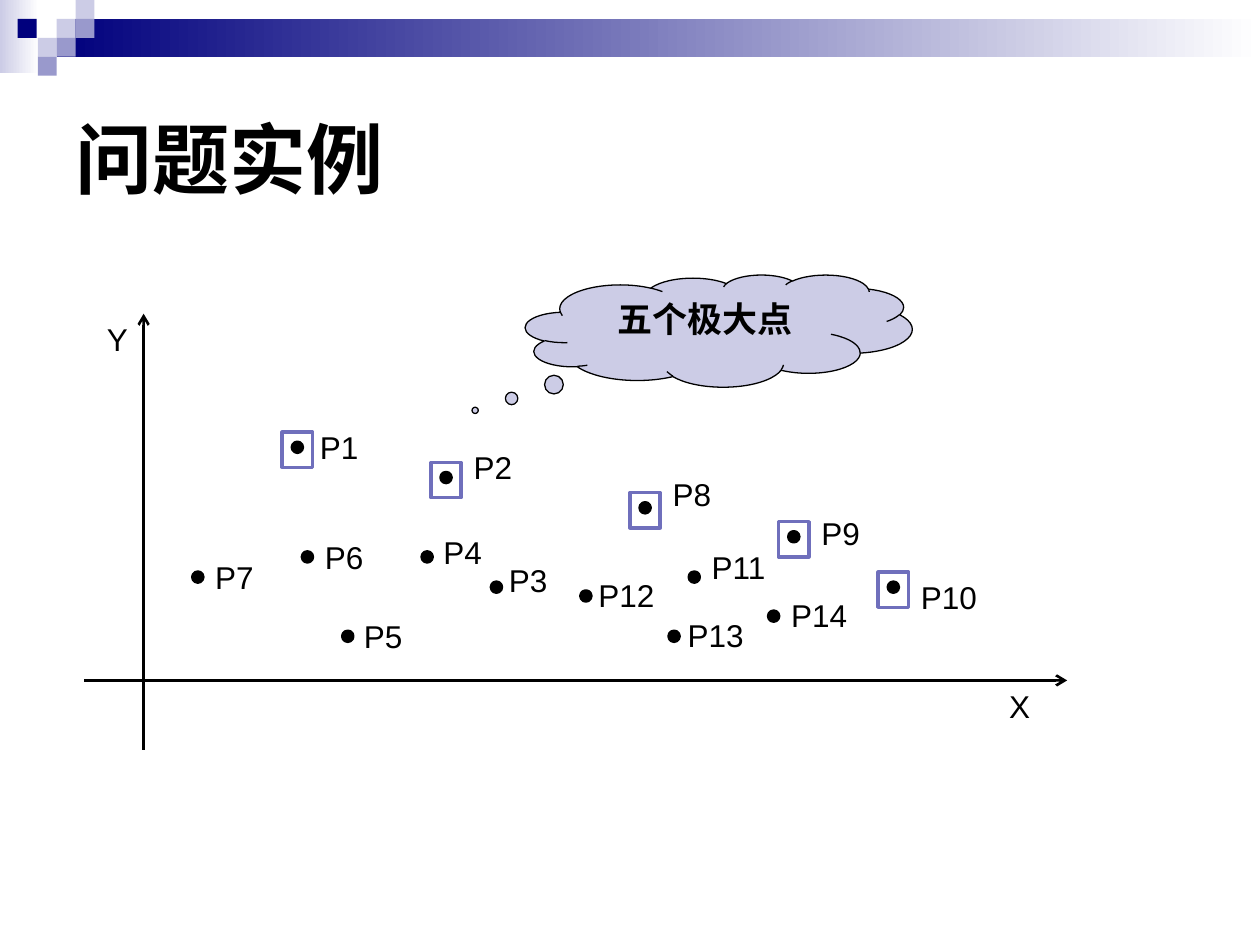
from dataclasses import dataclass

from lxml.etree import SubElement
from pptx import Presentation
from pptx.dml.color import RGBColor
from pptx.enum.shapes import MSO_CONNECTOR, MSO_SHAPE
from pptx.enum.text import MSO_ANCHOR, PP_ALIGN
from pptx.oxml.ns import qn
from pptx.slide import Slide
from pptx.util import Inches, Pt

COLORS = {
    "ink": "000000",
    "navy": "00007D",
    "lavender": "CCCCE6",
    "violet": "9999CC",
    "frame": "6F6FBC",
    "white": "FFFFFF",
}
FORMATS = {
    "title": {"size": Pt(44), "bold": True},
    "label": {"size": Pt(18), "bold": False},
    "callout": {"size": Pt(20), "bold": True},
}
GRADIENT_BARS = [((0, 0, 0.31, 0.58), "lavender"), ((0.45, 0.15, 9.55, 0.3), "navy")]
TILE = 0.15
TILES = [
    (0.45, 0.15, "lavender"),
    (0.6, 0, "lavender"),
    (0.6, 0.15, "violet"),
    (0.3, 0.3, "lavender"),
    (0.14, 0.15, "navy"),
    (0.45, 0.3, "violet"),
    (0.3, 0.45, "violet"),
]
DOT = 0.08
LABEL_HEIGHT = 0.4
POINTS = {
    "P1": ((2.32, 3.51), (2.44, 3.35, 0.67)),
    "P2": ((3.5, 3.75), (3.66, 3.51, 0.79)),
    "P3": ((3.9, 4.62), (3.94, 4.4, 0.51)),
    "P4": ((3.35, 4.38), (3.42, 4.18, 0.63)),
    "P5": ((2.72, 5.01), (2.79, 4.85, 0.75)),
    "P6": ((2.4, 4.38), (2.48, 4.22, 0.63)),
    "P7": ((1.53, 4.54), (1.61, 4.38, 0.63)),
    "P8": ((5.08, 3.99), (5.24, 3.72, 0.55)),
    "P9": ((6.26, 4.22), (6.42, 4.03, 0.55)),
    "P10": ((7.05, 4.62), (7.21, 4.54, 0.71)),
    "P11": ((5.47, 4.54), (5.55, 4.3, 0.71)),
    "P12": ((4.61, 4.69), (4.65, 4.52, 0.71)),
    "P13": ((5.31, 5.01), (5.36, 4.84, 0.71)),
    "P14": ((6.1, 4.85), (6.18, 4.68, 0.71)),
}
MAXIMAL = ["P1", "P2", "P8", "P9", "P10"]
AXES = [(0.67, 5.4, 8.47, 5.4), (1.14, 5.95, 1.14, 2.49)]
AXIS_NAMES = {"X": (7.91, 5.4, 0.55), "Y": (0.75, 2.49, 0.47)}


def color(name):
    """Return the named colour."""
    return RGBColor.from_string(COLORS[name])


@dataclass
class Painter:
    """Draws styled elements on the current slide."""

    slide: Slide
    font_name: str = "Arial"

    def fill_text(self, shape, text, style, anchor=MSO_ANCHOR.TOP, align=PP_ALIGN.LEFT):
        """Put styled text into a shape."""
        frame = shape.text_frame
        frame.word_wrap = True
        frame.vertical_anchor = anchor
        paragraph = frame.paragraphs[0]
        paragraph.alignment = align
        run = paragraph.add_run()
        run.text = text
        for attribute, value in {"name": self.font_name, **FORMATS[style]}.items():
            setattr(run.font, attribute, value)
        run.font.color.rgb = color("ink")

    def text(self, box, text, style="label", anchor=MSO_ANCHOR.TOP):
        """Add a text box."""
        shape = self.slide.shapes.add_textbox(*map(Inches, box))
        self.fill_text(shape, text, style, anchor)

    def shape(self, kind, box, fill=None, line=None, width=2):
        """Add a preset shape with an optional fill and outline."""
        shape = self.slide.shapes.add_shape(kind, *map(Inches, box))
        shape.shadow.inherit = False
        if fill:
            shape.fill.solid()
            shape.fill.fore_color.rgb = color(fill)
        else:
            shape.fill.background()
        if line:
            shape.line.color.rgb = color(line)
            shape.line.width = Pt(width)
        else:
            shape.line.fill.background()
        return shape

    def gradient(self, box, start):
        """Add a bar that fades to white from left to right."""
        fill = self.shape(MSO_SHAPE.RECTANGLE, box).fill
        fill.gradient()
        fill.gradient_angle = 0
        for stop, name in zip(fill.gradient_stops, (start, "white")):
            stop.color.rgb = color(name)

    def axis(self, ends):
        """Add an axis with an open arrowhead at its end."""
        connector = self.slide.shapes.add_connector(
            MSO_CONNECTOR.STRAIGHT, *map(Inches, ends)
        )
        connector.line.color.rgb = color("ink")
        connector.line.width = Pt(1.5)
        properties = connector.element.spPr
        SubElement(properties.find(qn("a:ln")), qn("a:tailEnd"), type="arrow")
        SubElement(properties, qn("a:effectLst"))

    def cloud(self, box, text):
        """Add a thought cloud with centred text."""
        shape = self.shape(MSO_SHAPE.CLOUD_CALLOUT, box, "lavender", "ink", 0.75)
        shape.adjustments[0], shape.adjustments[1] = -0.63, 0.71
        self.fill_text(shape, text, "callout", align=PP_ALIGN.CENTER)


def main():
    """Build the slide and save it."""
    presentation = Presentation()
    presentation.slide_width, presentation.slide_height = Inches(10), Inches(7.5)
    painter = Painter(presentation.slides.add_slide(presentation.slide_layouts[6]))
    for box, start in GRADIENT_BARS:
        painter.gradient(box, start)
    for left, top, fill in TILES:
        painter.shape(MSO_SHAPE.RECTANGLE, (left, top, TILE, TILE), fill)
    painter.text((0.5, 0.5, 9, 1.5), "问题实例", "title", MSO_ANCHOR.MIDDLE)
    for ends in AXES:
        painter.axis(ends)
    for (left, top), _ in POINTS.values():
        painter.shape(MSO_SHAPE.OVAL, (left, top, DOT, DOT), "ink", "ink")
    for name in MAXIMAL:
        left, top = POINTS[name][0]
        frame = (left - DOT, top - DOT, 3 * DOT, 0.28)
        painter.shape(MSO_SHAPE.RECTANGLE, frame, line="frame")
    for name, (_, label) in POINTS.items():
        painter.text((*label, LABEL_HEIGHT), name)
    painter.cloud((4.17, 2.18, 3.07, 0.89), "五个极大点")
    for name, label in AXIS_NAMES.items():
        painter.text((*label, LABEL_HEIGHT), name)
    presentation.save("out.pptx")


if __name__ == "__main__":
    main()
